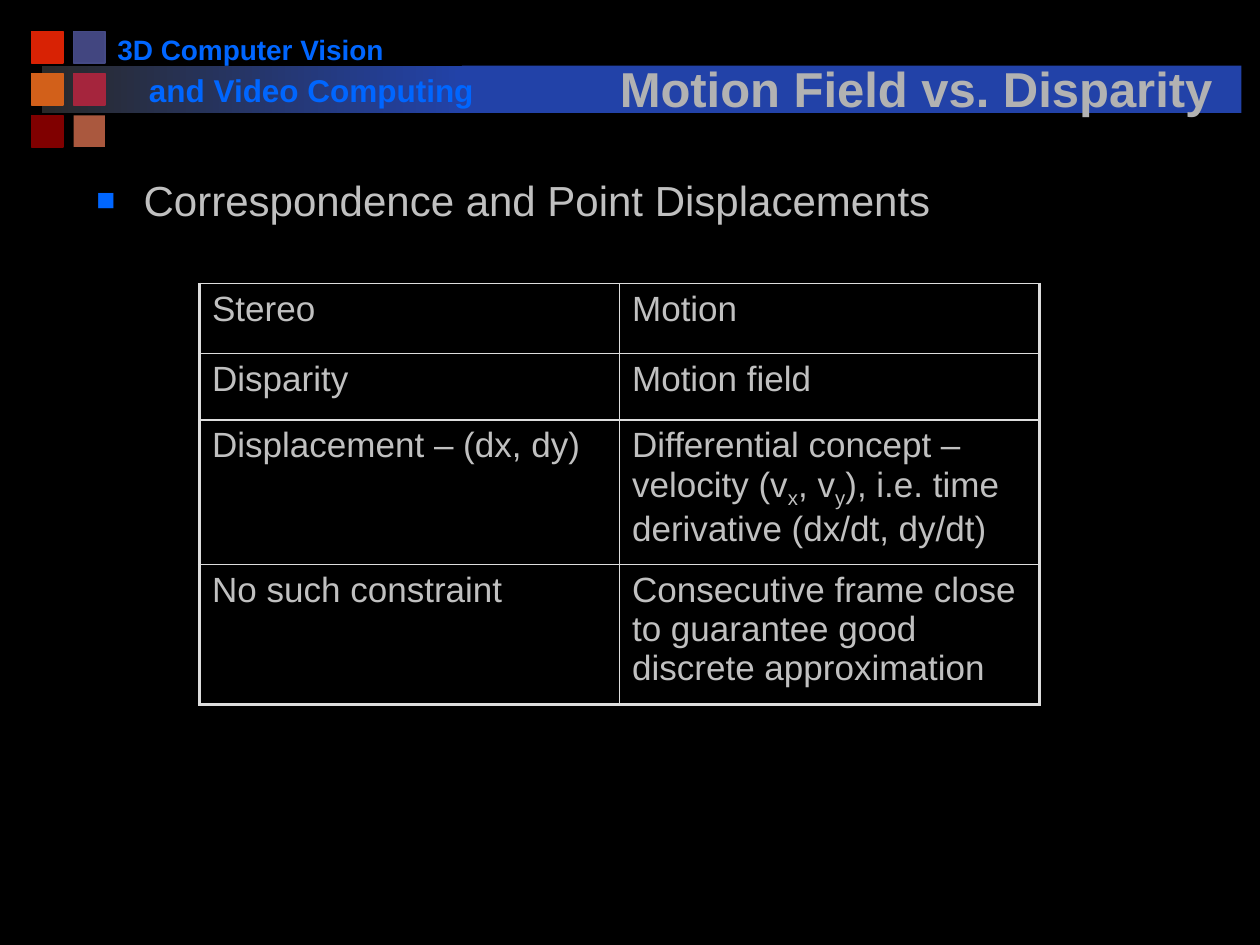
from lxml.etree import SubElement
from pptx import Presentation
from pptx.dml.color import RGBColor
from pptx.enum.shapes import MSO_SHAPE
from pptx.enum.text import MSO_ANCHOR, PP_ALIGN
from pptx.oxml.ns import qn
from pptx.util import Pt

FONT = "Arial"
BLUE, BAND, GREY, RULE = "0066FF", "2242A8", "C0C0C0", "DDDDDD"
SQUARES = [
    [("D82204", "D82204"), ("424680", "454A85")],
    [("D2601A", "D2601A"), ("A5253D", "A5253D")],
    [("800000", "800000"), ("AA583E", None)],
]
ROWS = [
    ("Stereo", "Motion"),
    ("Disparity", "Motion field"),
    ("Displacement – (dx, dy)",
     [("Differential concept – velocity (v", 0), ("x", -25), (", v", 0),
      ("y", -25), ("), i.e. time derivative (dx/dt, dy/dt)", 0)]),
    ("No such constraint",
     "Consecutive frame close to guarantee good discrete approximation"),
]


def rgb(color):
    return RGBColor.from_string(color)


def add_rect(s, x, y, w, h, fill, line=None):
    sp = s.shapes.add_shape(MSO_SHAPE.RECTANGLE, Pt(x), Pt(y), Pt(w), Pt(h))
    sp.shadow.inherit = False
    sp.fill.solid()
    sp.fill.fore_color.rgb = rgb(fill)
    if line:
        sp.line.color.rgb = rgb(line)
        sp.line.width = Pt(1)
    else:
        sp.line.fill.background()
    return sp


def add_gradient_bar(s, x, y, w, h, *colors):
    sp = add_rect(s, x, y, w, h, colors[0])
    sp.fill.gradient()
    sp.fill.gradient_angle = 0
    for stop, color in zip(sp.fill.gradient_stops, colors):
        stop.color.rgb = rgb(color)


def add_run(p, text, size, color, bold=False, baseline=0):
    r = p.add_run()
    r.text = text
    r.font.name = FONT
    r.font.size = Pt(size)
    r.font.bold = bold
    r.font.color.rgb = rgb(color)
    if baseline:
        r.font._element.set("baseline", str(baseline * 1000))
    return r


def add_text(s, x, y, w, h, text, size, color, bold=False, wrap=True):
    tf = s.shapes.add_textbox(Pt(x), Pt(y), Pt(w), Pt(h)).text_frame
    tf.word_wrap = wrap
    add_run(tf.paragraphs[0], text, size, color, bold)
    return tf


def add_text_shadow(r):
    effects = SubElement(r.font._element, qn("a:effectLst"))
    r.font._element.find(qn("a:solidFill")).addnext(effects)
    shadow = SubElement(effects, qn("a:outerShdw"),
                        dist=str(Pt(2)), dir="2700000", algn="tl")
    SubElement(shadow, qn("a:srgbClr"), val="000000")


def add_bullet(p, char, color, percent, indent):
    pPr = p._p.get_or_add_pPr()
    pPr.set("marL", str(Pt(indent)))
    pPr.set("indent", str(-Pt(indent)))
    SubElement(SubElement(pPr, qn("a:buClr")), qn("a:srgbClr"), val=color)
    SubElement(pPr, qn("a:buSzPct"), val=str(percent * 1000))
    SubElement(pPr, qn("a:buFont"), typeface=FONT)
    SubElement(pPr, qn("a:buChar"), char=char)


def set_borders(cell, widths):
    tcPr = cell._tc.get_or_add_tcPr()
    for side, width in widths.items():
        ln = SubElement(tcPr, qn(f"a:ln{side}"), w=str(Pt(width)))
        SubElement(SubElement(ln, qn("a:solidFill")), qn("a:srgbClr"), val=RULE)


def add_comparison(s, x, y, col_width, heights):
    last_row, last_col = len(ROWS) - 1, len(ROWS[0]) - 1
    table = s.shapes.add_table(last_row + 1, last_col + 1, Pt(x), Pt(y),
                               Pt(col_width * 2), Pt(sum(heights))).table
    table.first_row = table.horz_banding = False
    for col in table.columns:
        col.width = Pt(col_width)
    for i, (height, row) in enumerate(zip(heights, ROWS)):
        table.rows[i].height = Pt(height)
        for j, content in enumerate(row):
            cell = table.cell(i, j)
            set_borders(cell, {"L": 2.25 if j == 0 else 1,
                               "R": 2.25 if j == last_col else 1,
                               "T": 1,
                               "B": 2.25 if i == last_row else 1})
            cell.fill.background()
            runs = [(content, 0)] if isinstance(content, str) else content
            for text, baseline in runs:
                add_run(cell.text_frame.paragraphs[0], text, 20, GREY,
                        baseline=baseline)


def main():
    prs = Presentation()
    prs.slide_width, prs.slide_height = Pt(720), Pt(540)
    s = prs.slides.add_slide(prs.slide_layouts[6])
    s.background.fill.solid()
    s.background.fill.fore_color.rgb = rgb("000000")

    add_gradient_bar(s, 24, 37.5, 240, 27, "292929", BAND)
    for i, row in enumerate(SQUARES):
        for j, (fill, line) in enumerate(row):
            add_rect(s, 18 + 24 * j, 18 + 24 * i, 18, 18, fill, line)
    add_rect(s, 264, 37.5, 445.5, 27, BAND)

    add_text(s, 60, 15, 167, 26.5, "3D Computer Vision", 16, BLUE, True, False)
    add_text(s, 78, 37, 204, 29, "and Video Computing", 18, BLUE, True)

    tf = add_text(s, 330, 22.5, 387, 48, "Motion Field vs. Disparity",
                  28, "B2B2B2", True)
    tf.vertical_anchor = MSO_ANCHOR.BOTTOM
    tf.paragraphs[0].alignment = PP_ALIGN.CENTER
    add_text_shadow(tf.paragraphs[0].runs[0])

    tf = add_text(s, 48, 96, 618, 42,
                  "Correspondence and Point Displacements", 24, GREY)
    tf.paragraphs[0].space_before = Pt(3)
    add_bullet(tf.paragraphs[0], "■", BLUE, 75, 27)

    add_comparison(s, 114, 162, 240, [40, 38, 80, 80])
    prs.save("out.pptx")


if __name__ == "__main__":
    main()
